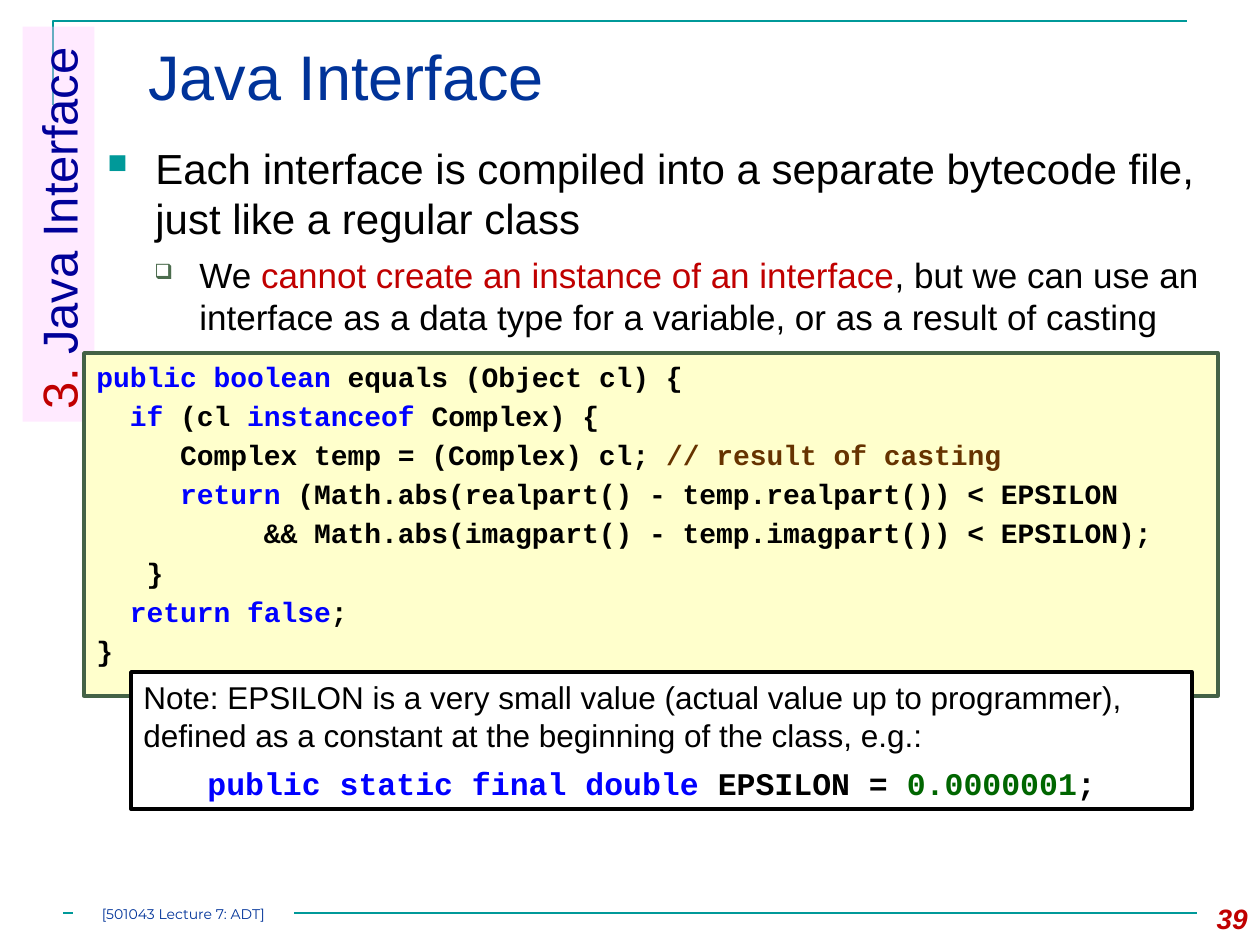
from lxml.etree import SubElement
from pptx import Presentation
from pptx.dml.color import RGBColor
from pptx.enum.shapes import MSO_CONNECTOR, MSO_SHAPE
from pptx.enum.text import MSO_ANCHOR, PP_ALIGN
from pptx.oxml.ns import qn
from pptx.util import Emu, Pt

PX = 914400 / 126
BLACK, RED, BLUE, TEAL, TITLE_BLUE = "000000", "C00000", "0000FF", "009999", "003399"
CODE_LINES = [
    [("public boolean ", BLUE), ("equals (Object cl) {", BLACK)],
    [("  ", BLACK), ("if", BLUE), (" (cl ", BLACK), ("instanceof", BLUE), (" Complex) {", BLACK)],
    [("     Complex temp = (Complex) cl; ", BLACK), ("// result of casting", "663300")],
    [("     ", BLACK), ("return", BLUE),
     (" (Math.abs(realpart() - temp.realpart()) < EPSILON", BLACK)],
    [("          && Math.abs(imagpart() - temp.imagpart()) < EPSILON);", BLACK)],
    [("   }", BLACK)],
    [("  ", BLACK), ("return false", BLUE), (";", BLACK)],
    [("}", BLACK)],
]


def px(value):
    return Emu(round(value * PX))


def color(hex_string):
    return RGBColor.from_string(hex_string)


def add_child(parent, tag, **attributes):
    return SubElement(parent, qn(tag), attributes)


def add_runs(paragraph, runs, size, font="Arial", bold=False, italic=False):
    """Append (text, colour) runs that share one font."""
    for text, hex_string in runs:
        run = paragraph.add_run()
        run.text = text
        run.font.name = font
        run.font.size = Pt(size)
        run.font.bold = bold
        run.font.italic = italic
        run.font.color.rgb = color(hex_string)


def set_indent(paragraph, left, hanging):
    properties = paragraph._p.get_or_add_pPr()
    properties.set("marL", str(px(left)))
    properties.set("indent", str(-px(hanging)))
    return properties


def set_bullet(paragraph, character, hex_string, percent, left, hanging):
    properties = set_indent(paragraph, left, hanging)
    bullet_color = add_child(properties, "a:buClr")
    add_child(bullet_color, "a:srgbClr", val=hex_string)
    add_child(properties, "a:buSzPct", val=str(percent * 1000))
    add_child(properties, "a:buChar", char=character)


def add_textbox(slide, left, top, width, height, anchor=MSO_ANCHOR.TOP):
    text_frame = slide.shapes.add_textbox(px(left), px(top), px(width), px(height)).text_frame
    text_frame.word_wrap = True
    text_frame.vertical_anchor = anchor
    return text_frame


def add_box(slide, left, top, width, height, fill, line=None, anchor=MSO_ANCHOR.TOP):
    shape = slide.shapes.add_shape(
        MSO_SHAPE.RECTANGLE, px(left), px(top), px(width), px(height))
    shape.shadow.inherit = False
    shape.fill.solid()
    shape.fill.fore_color.rgb = color(fill)
    if line:
        shape.line.color.rgb = color(line)
        shape.line.width = Pt(2)
    else:
        shape.line.fill.background()
    shape.text_frame.word_wrap = True
    shape.text_frame.vertical_anchor = anchor
    shape.text_frame.paragraphs[0].alignment = PP_ALIGN.LEFT
    return shape


def next_paragraph(text_frame, index):
    paragraph = text_frame.add_paragraph() if index else text_frame.paragraphs[0]
    paragraph.alignment = PP_ALIGN.LEFT
    return paragraph


def add_frame_lines(slide):
    builder = slide.shapes.build_freeform(px(53), px(105), scale=1.0)
    builder.add_line_segments([(px(53), px(21)), (px(1187), px(21))], close=False)
    corner = builder.convert_to_shape()
    corner.shadow.inherit = False
    corner.fill.background()
    footer_line = slide.shapes.add_connector(
        MSO_CONNECTOR.STRAIGHT, px(63), px(913), px(1197), px(913))
    add_child(footer_line._element.spPr, "a:effectLst")
    for shape in (corner, footer_line):
        shape.line.color.rgb = color(TEAL)
        shape.line.width = Pt(1.5)


def add_section_tab(slide):
    tab = add_box(slide, -139, 188, 395, 72, "FFCCFF")
    tab.rotation = 270
    fill_color = tab._element.spPr.find(qn("a:solidFill")).find(qn("a:srgbClr"))
    add_child(fill_color, "a:alpha", val="40000")
    add_runs(tab.text_frame.paragraphs[0], [("3. ", RED), ("Java Interface", "000099")], 28)


def add_bullets(slide):
    text_frame = add_textbox(slide, 95, 136, 1124, 217)
    point = next_paragraph(text_frame, 0)
    set_bullet(point, "■", TEAL, 65, 48, 48)
    add_runs(point, [("Each interface is compiled into a separate bytecode file, "
                      "just like a regular class", BLACK)], 24)
    detail = next_paragraph(text_frame, 1)
    detail.level = 1
    detail.space_before = Pt(6)
    set_bullet(detail, "❑", "4C6D4E", 60, 92, 45)
    add_runs(detail, [("We ", BLACK), ("cannot create an instance of an interface", RED),
                      (", but we can use an interface as a data type for a variable, "
                       "or as a result of casting", BLACK)], 20)


def add_code(slide):
    text_frame = add_box(slide, 84, 353, 1134, 343, "FFFFCC", "446246").text_frame
    for index, runs in enumerate(CODE_LINES):
        paragraph = next_paragraph(text_frame, index)
        set_indent(paragraph, 48, 48)
        if index:
            paragraph.space_before = Pt(3.2)
        add_runs(paragraph, runs, 16, "Courier New", bold=True)


def add_note(slide):
    text_frame = add_box(slide, 131, 672, 1061, 137, "FFFFFF", BLACK).text_frame
    note = next_paragraph(text_frame, 0)
    note.space_after = Pt(6)
    add_runs(note, [("Note: EPSILON is a very small value (actual value up to programmer), "
                     "defined as a constant at the beginning of the class, e.g.:", BLACK)], 18)
    constant = next_paragraph(text_frame, 1)
    tabs = add_child(constant._p.get_or_add_pPr(), "a:tabLst")
    add_child(tabs, "a:tab", pos=str(px(64)), algn="l")
    add_runs(constant, [("\t", BLACK)], 18)
    add_runs(constant, [("public static final double ", BLUE), ("EPSILON = ", BLACK),
                        ("0.0000001", "006600"), (";", BLACK)], 18, "Courier New", bold=True)


def add_footer(slide):
    label = add_box(slide, 73, 903, 221, 21, "FFFFFF", anchor=MSO_ANCHOR.MIDDLE)
    text_frame = label.text_frame
    text_frame.margin_left = text_frame.margin_right = 0
    text_frame.margin_top = text_frame.margin_bottom = 0
    text_frame.paragraphs[0].alignment = PP_ALIGN.CENTER
    add_runs(text_frame.paragraphs[0], [("[501043 Lecture 7: ADT]", TITLE_BLUE)], 8, "Montserrat")


def main():
    presentation = Presentation()
    presentation.slide_width, presentation.slide_height = px(1260), px(945)
    slide = presentation.slides.add_slide(presentation.slide_layouts[6])
    add_frame_lines(slide)
    title = add_textbox(slide, 136, 31, 1093, 109)
    add_runs(title.paragraphs[0], [("Java Interface", TITLE_BLUE)], 36)
    number = add_textbox(slide, 1176, 895, 84, 50)
    number.paragraphs[0].alignment = PP_ALIGN.RIGHT
    add_runs(number.paragraphs[0], [("39", RED)], 16, bold=True, italic=True)
    add_section_tab(slide)
    add_bullets(slide)
    add_code(slide)
    add_note(slide)
    add_footer(slide)
    presentation.save("out.pptx")


if __name__ == "__main__":
    main()
